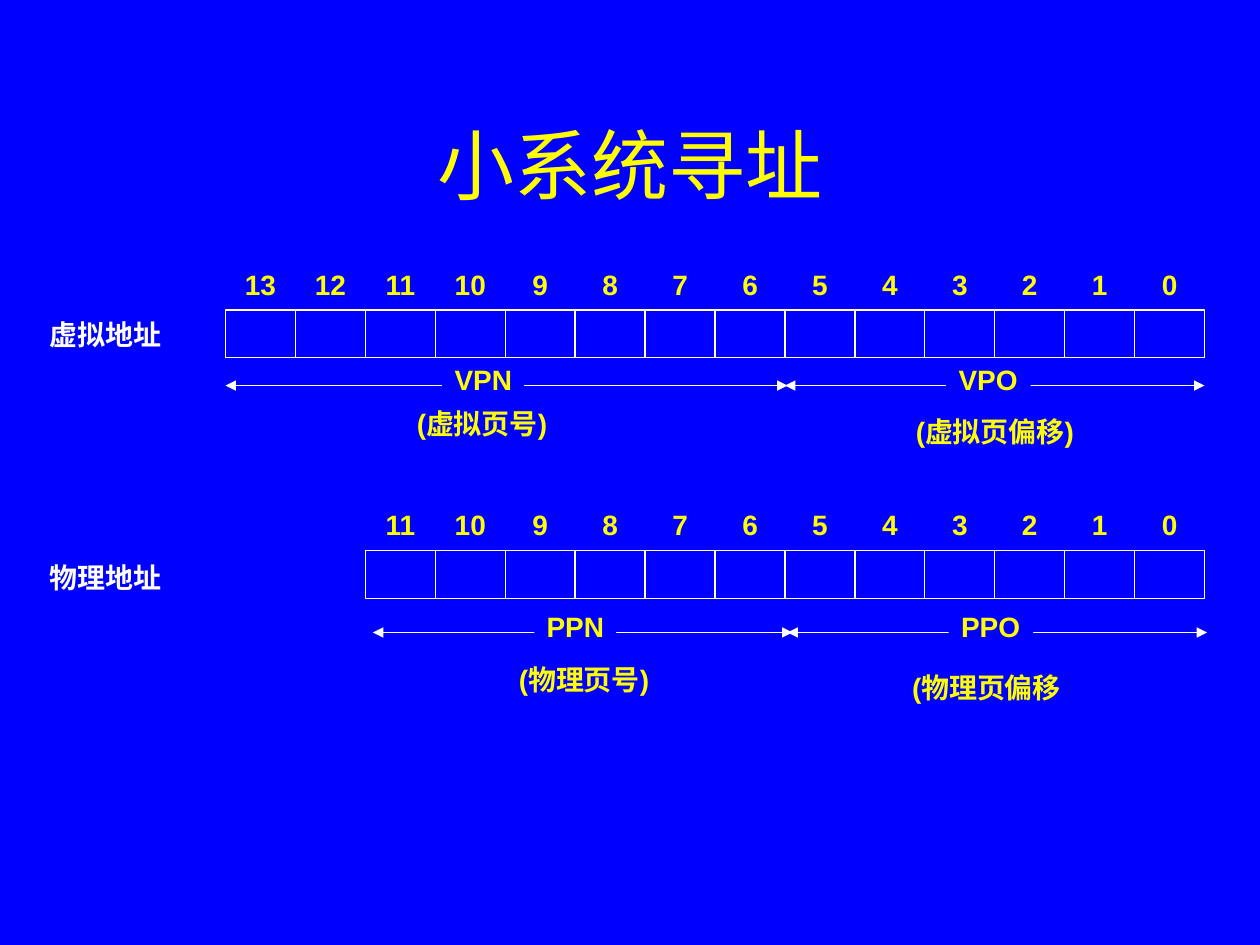
"""Build a slide on the virtual and physical address layout of a small memory system."""
from lxml import etree
from pptx import Presentation
from pptx.dml.color import RGBColor
from pptx.enum import shapes, text
from pptx.oxml import ns
from pptx.util import Inches, Pt

COLORS = {"back": "0000FF", "accent": "FFFF00", "plain": "FFFFFF"}
TITLE = "小系统寻址"
ADDRESSES = [
    {"name": "虚拟地址", "name_top": 2.47, "bits": 14, "top": 2.46},
    {"name": "物理地址", "name_top": 4.4, "bits": 12, "top": 4.37},
]
FIELDS = [
    {"code": "VPO", "span": (6.23, 9.56), "y": 3.06, "code_box": (7.51, 0.67),
     "meaning": "(虚拟页偏移)", "meaning_box": (7.17, 3.27, 1.56, 0.34)},
    {"code": "PPO", "span": (6.25, 9.58), "y": 5.02, "code_box": (7.53, 0.67),
     "meaning": "(物理页偏移", "meaning_box": (7.14, 5.3, 1.43, 0.34)},
    {"code": "PPN", "span": (2.96, 6.29), "y": 5.02, "code_box": (4.24, 0.65),
     "meaning": "(物理页号)", "meaning_box": (4.02, 5.24, 1.34, 0.34)},
    {"code": "VPN", "span": (1.79, 6.25), "y": 3.06, "code_box": (3.51, 0.65),
     "meaning": "(虚拟页号)", "meaning_box": (3.21, 3.21, 1.34, 0.34)},
]
BITS_RIGHT, BIT_WIDTH, BIT_HEIGHT = 9.56, 0.555, 0.38


def color(key):
    return RGBColor.from_string(COLORS[key])


def add_text(slide, words, box, size=16, font="Arial", ink="accent", bold=True, fill=None,
             align=text.PP_ALIGN.LEFT, anchor=text.MSO_ANCHOR.TOP, spacing=0.9):
    label = slide.shapes.add_textbox(*map(Inches, box))
    if fill:
        label.fill.solid()
        label.fill.fore_color.rgb = color(fill)
    frame = label.text_frame
    frame.word_wrap = True
    frame.auto_size = text.MSO_AUTO_SIZE.NONE
    frame.vertical_anchor = anchor
    frame.margin_left = Inches(0.1 if align == text.PP_ALIGN.LEFT else 0)
    frame.margin_right = Inches(0.1 if align == text.PP_ALIGN.RIGHT else 0)
    paragraph = frame.paragraphs[0]
    paragraph.alignment = align
    paragraph.line_spacing = spacing
    run = paragraph.add_run()
    run.text = words
    run.font.size, run.font.name, run.font.bold = Pt(size), font, bold
    run.font.color.rgb = color(ink)


def add_bit(slide, number, top):
    left = BITS_RIGHT - (number + 1) * BIT_WIDTH
    cell = slide.shapes.add_shape(shapes.MSO_SHAPE.RECTANGLE, *map(
        Inches, (left, top, BIT_WIDTH, BIT_HEIGHT)))
    cell.shadow.inherit = False
    cell.fill.background()
    cell.line.color.rgb = color("plain")
    cell.line.width = Pt(0.75)
    add_text(slide, str(number), (left, top - BIT_HEIGHT, BIT_WIDTH, BIT_HEIGHT),
             align=text.PP_ALIGN.CENTER, anchor=text.MSO_ANCHOR.MIDDLE)


def add_span(slide, start, end, y):
    arrow = slide.shapes.add_connector(
        shapes.MSO_CONNECTOR.STRAIGHT, *map(Inches, (start, y, end, y)))
    arrow.line.color.rgb = color("plain")
    arrow.line.width = Pt(0.75)
    properties = arrow.element.spPr
    outline = properties.find(ns.qn("a:ln"))
    for tip in ("a:headEnd", "a:tailEnd"):
        etree.SubElement(outline, ns.qn(tip), type="triangle")
    etree.SubElement(properties, ns.qn("a:effectLst"))


def main():
    deck = Presentation()
    deck.slide_width, deck.slide_height = Inches(10), Inches(7.5)
    slide = deck.slides.add_slide(deck.slide_layouts[6])
    slide.background.fill.solid()
    slide.background.fill.fore_color.rgb = color("back")
    add_text(slide, TITLE, (0.75, 0.67, 8.5, 1.25), size=44, font="Times New Roman",
             bold=False, align=text.PP_ALIGN.CENTER, anchor=text.MSO_ANCHOR.MIDDLE,
             spacing=1.0)
    for address in ADDRESSES:
        for number in reversed(range(address["bits"])):
            add_bit(slide, number, address["top"])
        add_text(slide, address["name"], (0.3, address["name_top"], 1.08, 0.37), ink="plain",
                 align=text.PP_ALIGN.RIGHT, anchor=text.MSO_ANCHOR.MIDDLE, spacing=1.0)
    for field in FIELDS:
        add_span(slide, *field["span"], field["y"])
        left, width = field["code_box"]
        add_text(slide, field["code"], (left, field["y"] - 0.2, width, 0.34), fill="back")
        add_text(slide, field["meaning"], field["meaning_box"])
    deck.save("out.pptx")


if __name__ == "__main__":
    main()
